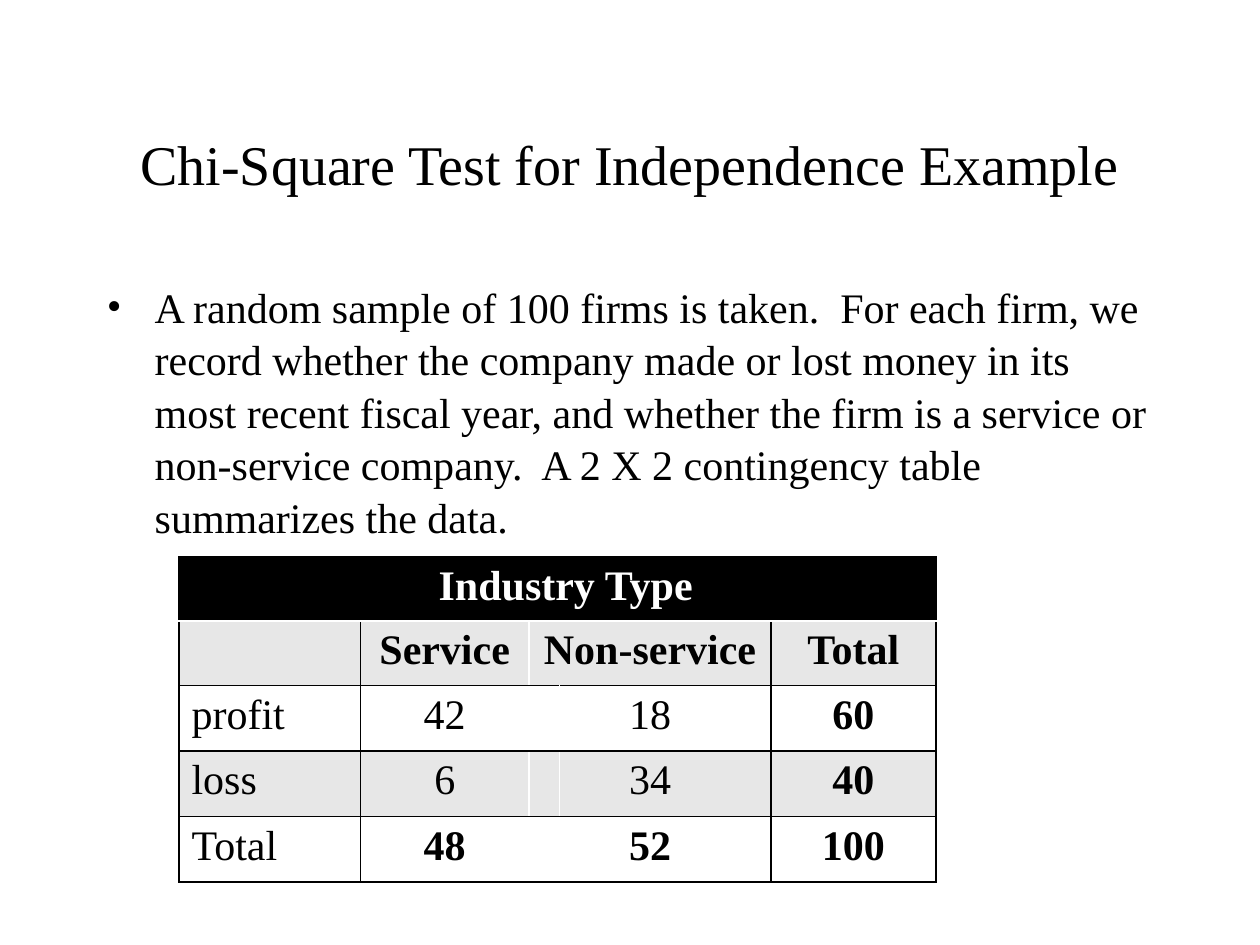
from lxml.etree import SubElement
from pptx import Presentation
from pptx.dml.color import RGBColor
from pptx.enum.text import MSO_ANCHOR, PP_ALIGN
from pptx.oxml.ns import qn
from pptx.util import Inches, Pt

BLACK, WHITE, BAND = "000000", "FFFFFF", "E7E7E7"
COLUMN_WIDTHS = [1.44, 1.34, 0.23, 1.44, 0.23, 1.31]
ROW_HEIGHTS = [0.51, 0.51, 0.52, 0.52, 0.52]
ROWS = [
    ["", "Industry Type", "", "", "", ""],
    ["", "Service", "Non-service", "", "", "Total"],
    ["profit", "42", "", "18", "", "60"],
    ["loss", "6", "", "34", "", "40"],
    ["Total", "48", "", "52", "", "100"],
]
SPANS = {(0, 1): 4, (1, 2): 3}
ROW_FILLS = [BLACK, BAND, WHITE, BAND, WHITE]
ROW_EDGES = [BLACK, WHITE, BLACK, BLACK, BLACK, BLACK]
HEADER_EDGES = [BLACK] * 7
COLUMN_EDGES = [BLACK, BLACK, WHITE, WHITE, None, BLACK, BLACK]


def color(value):
    return RGBColor.from_string(value)


class SlideWriter:
    font = "Times New Roman"

    def __init__(self, slide):
        self.slide = slide

    def format(self, paragraph, size, ink=BLACK, bold=False):
        for run in paragraph.runs:
            run.font.name = self.font
            run.font.size = Pt(size)
            run.font.bold = bold
            run.font.color.rgb = color(ink)

    def text(self, words, left, top, width, height, size, anchor=MSO_ANCHOR.TOP):
        frame = self.slide.shapes.add_textbox(
            Inches(left), Inches(top), Inches(width), Inches(height)).text_frame
        frame.word_wrap = True
        frame.vertical_anchor = anchor
        frame.text = words
        paragraph = frame.paragraphs[0]
        self.format(paragraph, size)
        return paragraph

    def title(self, words):
        heading = self.text(words, 0.75, 0.67, 8.5, 1.25, 32, MSO_ANCHOR.MIDDLE)
        heading.alignment = PP_ALIGN.CENTER

    def bullet(self, words):
        point = self.text(words, 0.75, 2.17, 8.5, 4.5, 24)
        point.space_before = Pt(4.8)
        point.line_spacing = 1.04
        properties = point._p.get_or_add_pPr()
        properties.set("marL", str(Inches(0.38)))
        properties.set("indent", str(-Inches(0.38)))
        SubElement(properties, qn("a:buFont"), typeface=self.font)
        SubElement(properties, qn("a:buChar"), char="•")

    def borders(self, cell, left, right, top, bottom):
        properties = cell._tc.get_or_add_tcPr()
        for tag, edge in zip(("lnL", "lnR", "lnT", "lnB"), (left, right, top, bottom)):
            line = SubElement(properties, qn(f"a:{tag}"), w=str(Pt(1)))
            if edge:
                fill = SubElement(line, qn("a:solidFill"))
                SubElement(fill, qn("a:srgbClr"), val=edge)
            else:
                SubElement(line, qn("a:noFill"))

    def contingency_table(self, left, top):
        table = self.slide.shapes.add_table(
            len(ROWS), len(COLUMN_WIDTHS), Inches(left), Inches(top),
            Inches(sum(COLUMN_WIDTHS)), Inches(sum(ROW_HEIGHTS))).table
        for column, width in zip(table.columns, COLUMN_WIDTHS):
            column.width = Inches(width)
        for row, height in zip(table.rows, ROW_HEIGHTS):
            row.height = Inches(height)
        for (r, c), span in SPANS.items():
            table.cell(r, c).merge(table.cell(r, c + span - 1))
        for r, row in enumerate(ROWS):
            edges = COLUMN_EDGES if r else HEADER_EDGES
            for c, words in enumerate(row):
                cell = table.cell(r, c)
                if cell.is_spanned:
                    continue
                end = c + SPANS.get((r, c), 1)
                self.borders(cell, edges[c], edges[end], ROW_EDGES[r], ROW_EDGES[r + 1])
                cell.fill.solid()
                cell.fill.fore_color.rgb = color(ROW_FILLS[r])
                cell.text_frame.text = words
                paragraph = cell.text_frame.paragraphs[0]
                paragraph.alignment = PP_ALIGN.CENTER if c else PP_ALIGN.LEFT
                is_total = c > 0 and (r == len(ROWS) - 1 or c == len(row) - 1)
                self.format(paragraph, 24, BLACK if r else WHITE, r < 2 or is_total)


def main():
    presentation = Presentation()
    presentation.slide_width = Inches(10)
    presentation.slide_height = Inches(7.5)
    writer = SlideWriter(presentation.slides.add_slide(presentation.slide_layouts[6]))
    writer.title("Chi-Square Test for Independence Example")
    writer.bullet(
        "A random sample of 100 firms is taken.  For each firm, we record whether "
        "the company made or lost money in its most recent fiscal year, and whether "
        "the firm is a service or non-service company.  A 2 X 2 contingency table "
        "summarizes the data.")
    writer.contingency_table(1.42, 4.42)
    presentation.save("out.pptx")


if __name__ == "__main__":
    main()
